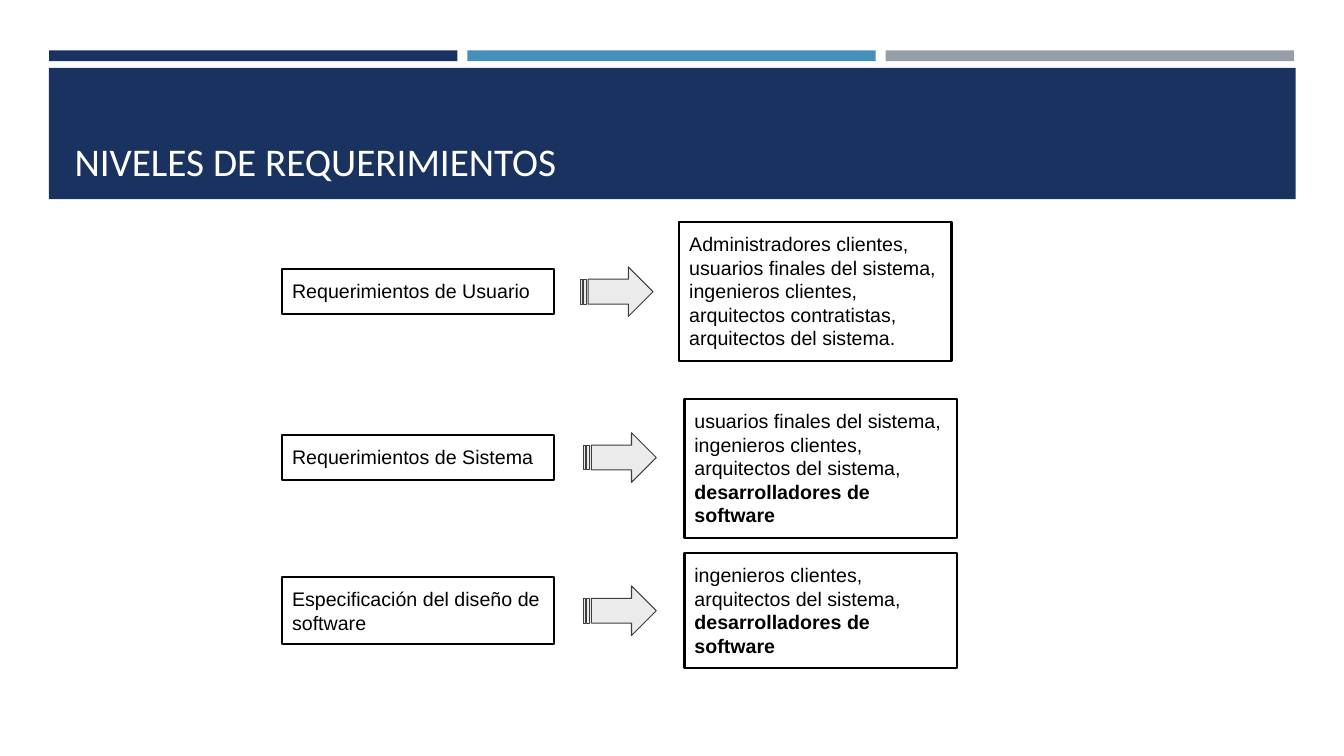
import pptx
import pptx.util
from pptx.dml.color import RGBColor
from pptx.enum.shapes import MSO_SHAPE
from pptx.enum.text import MSO_ANCHOR, PP_ALIGN

Cm, Pt = pptx.util.Cm, pptx.util.Pt

TITLE = "NIVELES DE REQUERIMIENTOS"
# Lengths in cm; "middle" is the vertical centre of a part.
LEVELS = [
    {"name": "Requerimientos de Usuario", "middle": 7.35, "height": 1.12,
     "readers": ["Administradores clientes, usuarios finales del sistema, ingenieros clientes, "
                 "arquitectos contratistas, arquitectos del sistema."],
     "readers_left": 17.12, "readers_middle": 7.35, "readers_height": 3.51, "arrow_left": 14.63},
    {"name": "Requerimientos de Sistema", "middle": 11.53, "height": 1.12,
     "readers": ["usuarios finales del sistema, ingenieros clientes, arquitectos del sistema,",
                 "desarrolladores de software"],
     "readers_left": 17.25, "readers_middle": 11.81, "readers_height": 3.51, "arrow_left": 14.71},
    {"name": "Especificación del diseño de software", "middle": 15.39, "height": 1.7,
     "readers": ["ingenieros clientes, arquitectos del sistema,", "desarrolladores de software"],
     "readers_left": 17.25, "readers_middle": 15.39, "readers_height": 2.9, "arrow_left": 14.71},
]
THEME = {
    "navy": "1A3260", "blue": "4590B8", "grey": "969FA7", "white": "FFFFFF", "black": "000000",
    "arrow_fill": "EBEBEB", "arrow_line": "3D3D3D",
    "title_font": "Calibri", "title_size": 28, "body_font": "Arial", "body_size": 14,
}
BAR_LEFT, BAR_STEP, BAR_WIDTH = 1.24, 10.54, 10.29
NAME_LEFT, BOX_WIDTH = 7.11, 6.86
ARROW_WIDTH, ARROW_HEIGHT = 1.83, 1.25


def colour(key):
    return RGBColor.from_string(THEME[key])


def add_part(slide, kind, left, top, width, height, fill=None, line=None, line_width=1.5):
    part = slide.shapes.add_shape(kind, Cm(left), Cm(top), Cm(width), Cm(height))
    part.shadow.inherit = False
    if fill:
        part.fill.solid()
        part.fill.fore_color.rgb = colour(fill)
    else:
        part.fill.background()
    if line:
        part.line.color.rgb = colour(line)
        part.line.width = Pt(line_width)
    else:
        part.line.fill.background()
    return part


def write(frame, lines, role, ink, anchor, margin_y):
    """Fill a text frame; every line after the first is bold."""
    frame_format = {"word_wrap": True, "vertical_anchor": anchor,
                    "margin_left": Cm(0.25), "margin_right": Cm(0.25),
                    "margin_top": Cm(margin_y), "margin_bottom": Cm(margin_y)}
    for key, value in frame_format.items():
        setattr(frame, key, value)
    for index, line in enumerate(lines):
        paragraph = frame.paragraphs[0] if index == 0 else frame.add_paragraph()
        paragraph.alignment = PP_ALIGN.LEFT
        run = paragraph.add_run()
        run.text = line
        font_format = {"name": THEME[role + "_font"], "size": Pt(THEME[role + "_size"]),
                       "bold": index > 0}
        for key, value in font_format.items():
            setattr(run.font, key, value)
        run.font.color.rgb = colour(ink)


def add_box(slide, left, middle, height, lines):
    box = add_part(slide, MSO_SHAPE.RECTANGLE, left, middle - height / 2,
                   BOX_WIDTH, height, line="black")
    write(box.text_frame, lines, "body", "black", MSO_ANCHOR.TOP, 0.25)


def add_header(slide):
    for index, fill in enumerate(("navy", "blue", "grey")):
        add_part(slide, MSO_SHAPE.RECTANGLE, BAR_LEFT + index * BAR_STEP, 1.27,
                 BAR_WIDTH, 0.27, fill)
    add_part(slide, MSO_SHAPE.RECTANGLE, 1.23, 1.71, 31.42, 3.31, "navy")
    title = slide.shapes.add_textbox(Cm(1.63), Cm(1.96), Cm(30.63), Cm(2.82))
    write(title.text_frame, [TITLE], "title", "white", MSO_ANCHOR.BOTTOM, 0.13)


def add_level(slide, level):
    add_box(slide, NAME_LEFT, level["middle"], level["height"], [level["name"]])
    add_box(slide, level["readers_left"], level["readers_middle"],
            level["readers_height"], level["readers"])
    add_part(slide, MSO_SHAPE.STRIPED_RIGHT_ARROW, level["arrow_left"],
             level["middle"] - ARROW_HEIGHT / 2, ARROW_WIDTH, ARROW_HEIGHT,
             "arrow_fill", "arrow_line", 0.75)


def main():
    deck = pptx.Presentation()
    deck.slide_width, deck.slide_height = Cm(33.87), Cm(19.05)
    slide = deck.slides.add_slide(deck.slide_layouts[6])
    add_header(slide)
    for level in LEVELS:
        add_level(slide, level)
    deck.save("out.pptx")


if __name__ == "__main__":
    main()
